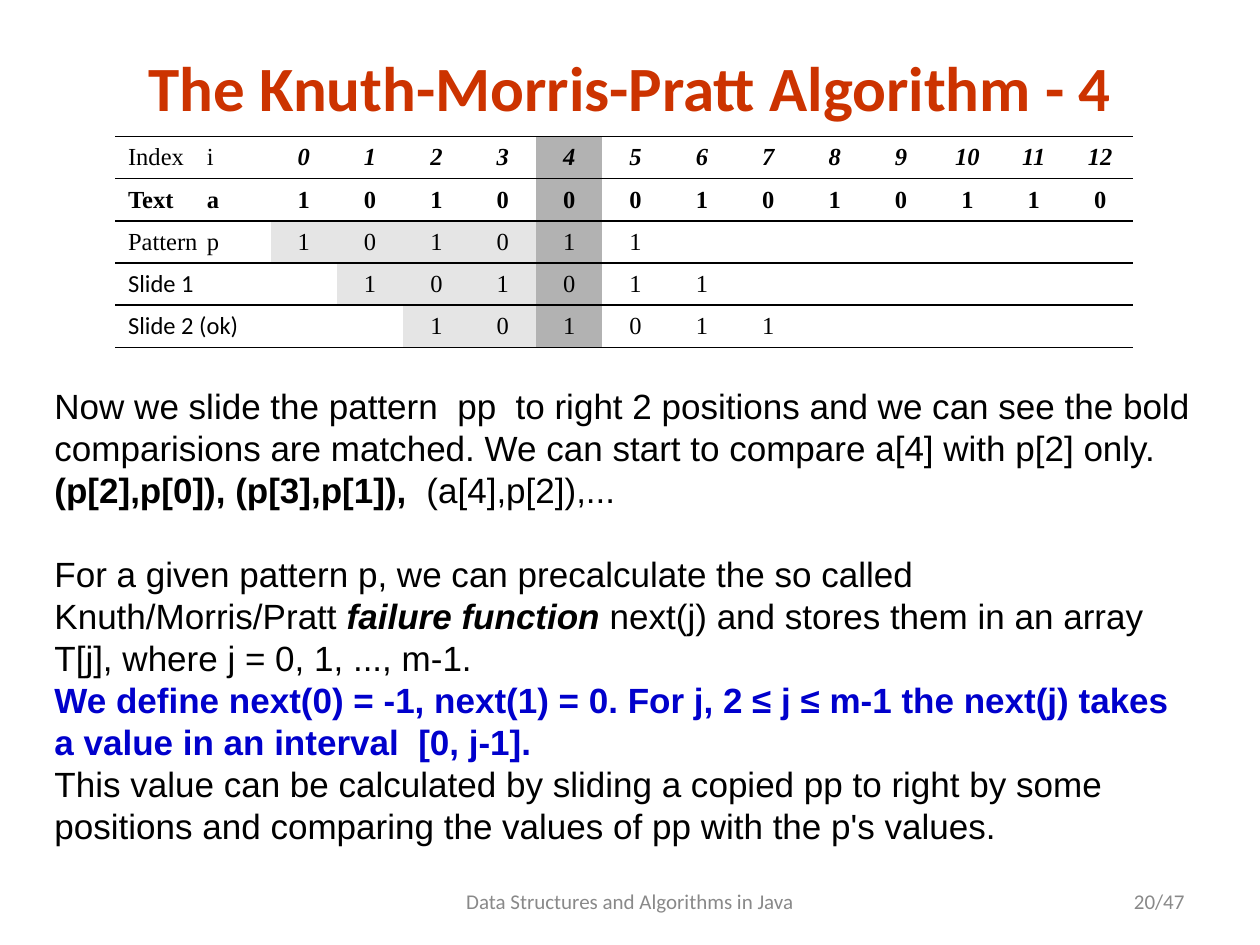
from lxml import etree
from pptx import Presentation
from pptx.dml.color import RGBColor
from pptx.enum.text import MSO_ANCHOR, MSO_AUTO_SIZE, PP_ALIGN
from pptx.oxml.ns import qn
from pptx.util import Pt

LEFT, MID, RIGHT = PP_ALIGN.LEFT, PP_ALIGN.CENTER, PP_ALIGN.RIGHT
TOP, CENTER = MSO_ANCHOR.TOP, MSO_ANCHOR.MIDDLE
FIXED = MSO_AUTO_SIZE.NONE

BLACK = RGBColor(0, 0, 0)
WHITE = RGBColor(0xFF, 0xFF, 0xFF)
RED = RGBColor(0xCC, 0x33, 0x00)
BLUE = RGBColor(0x00, 0x00, 0xCC)
GRAY = RGBColor(0x89, 0x89, 0x89)
LIGHT = RGBColor(0xE5, 0xE5, 0xE5)
DARK = RGBColor(0xB2, 0xB2, 0xB2)

COUNT = 13      # positions in the text
FOCUS = 4       # position being compared
PATTERN = "101011"
# label, values, first position of the values
ROWS = [
    ("Index\ti", range(COUNT), 0),
    ("Text\ta", "1010001010110", 0),
    ("Pattern\tp", PATTERN, 0),
    ("Slide 1", PATTERN, 1),
    ("Slide 2 (ok)", PATTERN, 2),
]

BODY = [
    [("Now we slide the pattern  pp  to right 2 positions and we can see the bold "
      "comparisions are matched. We can start to compare a[4] with p[2] only.", {})],
    [("(p[2],p[0]), (p[3],p[1]), ", {"bold": True}), (" (a[4],p[2]),...", {})],
    [("For a given pattern p, we can precalculate the so called Knuth/Morris/Pratt ", {}),
     ("failure function", {"bold": True, "italic": True}),
     (" next(j) and stores them in an array T[j], where j = 0, 1, ..., m-1.", {})],
    [("We define next(0) = -1, next(1) = 0. For j, 2 ≤ j ≤ m-1 the next(j) takes "
      "a value in an interval  [0, j-1].", {"bold": True, "color": BLUE})],
    [("This value can be calculated by sliding a copied pp to right by some "
      "positions and comparing the values of pp with the p's values.", {})],
]
GAP_AT = 2      # paragraph that starts the second part


def write(par, text, font="Arial", size=20, color=BLACK, bold=False, italic=False):
    run = par.add_run()
    run.text = text
    run.font.name = font
    run.font.size = Pt(size)
    run.font.color.rgb = color
    run.font.bold = bold
    run.font.italic = italic


def rule(cell):
    """Draw lines above and below a cell and none at its sides."""
    props = cell._tc.get_or_add_tcPr()
    for tag in ("a:lnL", "a:lnR"):
        etree.SubElement(etree.SubElement(props, qn(tag), w="0"), qn("a:noFill"))
    for tag in ("a:lnT", "a:lnB"):
        line = etree.SubElement(props, qn(tag), w=str(Pt(1)))
        fill = etree.SubElement(line, qn("a:solidFill"))
        etree.SubElement(fill, qn("a:srgbClr"), val=str(BLACK))


def set_tab(par, place):
    tabs = etree.SubElement(par._p.get_or_add_pPr(), qn("a:tabLst"))
    etree.SubElement(tabs, qn("a:tab"), pos=str(Pt(place)), algn="l")


class Page:
    def __init__(self, deck):
        self.slide = deck.slides.add_slide(deck.slide_layouts[5])

    def frame(self, shape, anchor):
        frame = shape.text_frame
        frame.word_wrap = True
        frame.auto_size = FIXED
        frame.vertical_anchor = anchor
        return frame

    def title(self, text, x, y, w, h):
        shape = self.slide.shapes.title
        shape.left, shape.top, shape.width, shape.height = map(Pt, (x, y, w, h))
        par = self.frame(shape, CENTER).paragraphs[0]
        par.alignment = MID
        write(par, text, font="Calibri", size=36, color=RED, bold=True)

    def box(self, x, y, w, h, anchor=TOP):
        shape = self.slide.shapes.add_textbox(*map(Pt, (x, y, w, h)))
        return self.frame(shape, anchor)

    def footer(self, text, x, w, align):
        par = self.box(x, 500.5, w, 28.8, CENTER).paragraphs[0]
        par.alignment = align
        write(par, text, font="Calibri", size=12, color=GRAY)

    def body(self, parts, x, y, w, h):
        frame = self.box(x, y, w, h)
        for i, runs in enumerate(parts):
            par = frame.add_paragraph() if i else frame.paragraphs[0]
            par.line_spacing = Pt(24)
            if i == GAP_AT:
                par.space_before = Pt(24)
            for text, style in runs:
                write(par, text, **style)

    def cell(self, cell, text, fill, align=MID, **style):
        rule(cell)
        cell.fill.solid()
        cell.fill.fore_color.rgb = fill
        cell.vertical_anchor = CENTER
        cell.margin_top = cell.margin_bottom = Pt(3)
        par = cell.text_frame.paragraphs[0]
        par.alignment = align
        if "\t" in text:
            set_tab(par, 45)
        if text:
            write(par, text, size=14, **style)
        else:
            etree.SubElement(par._p, qn("a:endParaRPr"), sz="1400")

    def table(self, x, y, first, step, high):
        size = first + step * COUNT, high * len(ROWS)
        shape = self.slide.shapes.add_table(
            len(ROWS), COUNT + 1, Pt(x), Pt(y), *map(Pt, size))
        grid = shape.table
        grid.first_row = grid.horz_banding = False
        for i, col in enumerate(grid.columns):
            col.width = Pt(step if i else first)
        for i, (label, values, start) in enumerate(ROWS):
            grid.rows[i].height = Pt(high)
            font = "Calibri" if label.startswith("Slide") else "Times New Roman"
            self.cell(grid.cell(i, 0), label, WHITE, LEFT, font=font, bold=i == 1)
            for pos in range(COUNT):
                inside = start <= pos < start + len(values)
                text = str(values[pos - start]) if inside else ""
                if pos == FOCUS:
                    fill = DARK
                else:
                    fill = LIGHT if i > 1 and start <= pos < FOCUS else WHITE
                self.cell(grid.cell(i, pos + 1), text, fill,
                          font="Times New Roman", bold=i < 2, italic=i == 0)


def main():
    deck = Presentation()
    deck.slide_width, deck.slide_height = Pt(720), Pt(540)
    page = Page(deck)
    page.footer("Data Structures and Algorithms in Java", 246, 228, MID)
    page.footer("20/47", 516, 168, RIGHT)
    page.title("The Knuth-Morris-Pratt Algorithm - 4", 36, 24, 648, 50.4)
    page.table(66, 78, first=88.6, step=37.94, high=24.1)
    page.body(BODY, 24, 216, 666, 271.4)
    deck.save("out.pptx")


if __name__ == "__main__":
    main()
